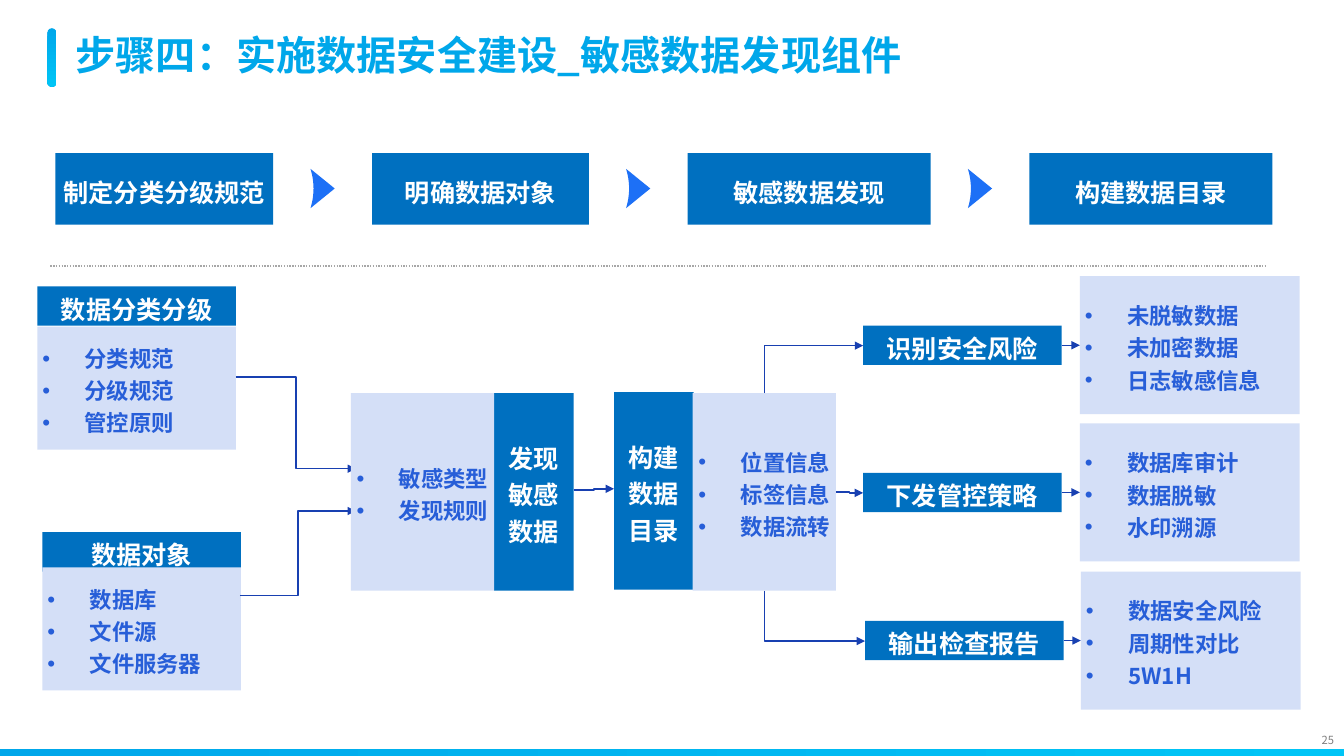
from lxml import etree
from pptx import Presentation
from pptx import util as u
from pptx.dml import color
from pptx.enum import dml, shapes, text
from pptx.oxml import ns

FONT = "Noto Sans CJK SC"
BLUE, PALE, INK, LINE, CHEVRON = "0070C0", "D4DFF7", "275ED8", "1840B1", "1D70F6"


def rgb(value):
    return color.RGBColor.from_string(value)


def add_xml(parent, tag, **attributes):
    return etree.SubElement(parent, ns.qn(tag), attributes)


def paint_gradient(fill, first, last, angle):
    fill.gradient()
    fill.gradient_angle = angle
    for stop, value, position in zip(fill.gradient_stops, (first, last), (0, 1)):
        stop.color.rgb = rgb(value)
        stop.position = position


def write(shape, lines, size=18, ink="FFFFFF", bold=True, align="CENTER",
          bullet=False, spacing=1.2, inset=0.05):
    frame = shape.text_frame
    frame.word_wrap = True
    frame.auto_size = text.MSO_AUTO_SIZE.NONE
    frame.vertical_anchor = text.MSO_ANCHOR.MIDDLE
    frame.margin_left = frame.margin_right = u.Inches(inset)
    frame.margin_top = frame.margin_bottom = u.Inches(0.05)
    for index, line in enumerate(lines):
        paragraph = frame.add_paragraph() if index else frame.paragraphs[0]
        paragraph.alignment = text.PP_ALIGN[align]
        paragraph.line_spacing = spacing
        if bullet:
            properties = paragraph._p.get_or_add_pPr()
            properties.set("marL", str(u.Inches(0.42)))
            properties.set("indent", str(u.Inches(-0.42)))
            add_xml(properties, "a:buFont", typeface="Arial")
            add_xml(properties, "a:buChar", char="•")
        run = paragraph.add_run()
        run.text = line
        run.font.name, run.font.size, run.font.bold = FONT, u.Pt(size), bold
        add_xml(run._r.get_or_add_rPr(), "a:ea", typeface=FONT)
        run.font.fill.solid()
        run.font.fill.fore_color.rgb = rgb(ink)


class FlowSlide:
    def __init__(self):
        self.presentation = Presentation()
        self.presentation.slide_width = u.Inches(13.33)
        self.presentation.slide_height = u.Inches(7.5)
        layout = self.presentation.slide_layouts.get_by_name("Title Only")
        self.slide = self.presentation.slides.add_slide(layout)

    def title(self, wording, left, top, width, height):
        title = self.slide.shapes.title
        title.left, title.top = u.Inches(left), u.Inches(top)
        title.width, title.height = u.Inches(width), u.Inches(height)
        write(title, [wording], size=28.7, align="LEFT", spacing=0.9, inset=0.1)
        font = title.text_frame.paragraphs[0].runs[0].font
        paint_gradient(font.fill, "00A7EA", "00C2F5", 270)

    def box(self, left, top, width, height, fill=BLUE, kind="RECTANGLE"):
        shape = self.slide.shapes.add_shape(
            shapes.MSO_SHAPE[kind], *map(u.Inches, (left, top, width, height)))
        self.finish(shape, fill)
        return shape

    def finish(self, shape, fill):
        shape.shadow.inherit = False
        shape.line.fill.background()
        shape.fill.solid()
        shape.fill.fore_color.rgb = rgb(fill)

    def bar(self, left, top, width, height, angle, kind="RECTANGLE"):
        shape = self.box(left, top, width, height, kind=kind)
        paint_gradient(shape.fill, "00A7EA", "00C5F6", angle)
        return shape

    def header(self, wording, left, top, width=1.97, height=0.39):
        shape = self.box(left, top, width, height)
        write(shape, [wording])
        return shape

    def panel(self, items, left, top, width, height, align="LEFT"):
        shape = self.box(left, top, width, height, PALE)
        write(shape, items, size=16, ink=INK, align=align, bullet=True)
        return shape

    def label(self, wording, left, top, width, height, **style):
        write(self.slide.shapes.add_textbox(
            *map(u.Inches, (left, top, width, height))), [wording], **style)

    def chevron(self, left, middle):
        curve = [(0.03 * (1 - (step / 6) ** 2), 0.195 * step / 6)
                 for step in range(6, -7, -1)]
        points = [(u.Inches(left + x), u.Inches(middle + y))
                  for x, y in [(0.24, 0)] + curve]
        builder = self.slide.shapes.build_freeform(*points[0])
        builder.add_line_segments(points[1:], close=True)
        self.finish(builder.convert_to_shape(), CHEVRON)

    def connector(self, start, end, kind="STRAIGHT", ink=LINE, arrow=True):
        connector = self.slide.shapes.add_connector(
            shapes.MSO_CONNECTOR[kind], *map(u.Inches, (*start, *end)))
        connector.line.color.rgb = rgb(ink)
        connector.line.width = u.Pt(1)
        properties = connector._element.spPr
        if arrow:
            add_xml(properties.find(ns.qn("a:ln")), "a:tailEnd", type="triangle")
        add_xml(properties, "a:effectLst")
        return connector

    def corner(self, start, end):
        """One-bend arrow that leaves vertically and arrives from the left."""
        (x1, y1), (x2, y2) = start, end
        middle_x, middle_y = (x1 + x2) / 2, (y1 + y2) / 2
        half_width, half_height = abs(y2 - y1) / 2, (x2 - x1) / 2
        upward = y2 < y1
        if upward:
            half_height = -half_height
        connector = self.connector(
            (middle_x + half_width, middle_y - half_height),
            (middle_x - half_width, middle_y + half_height), "ELBOW")
        properties = connector._element.spPr
        properties.find(ns.qn("a:xfrm")).set("rot", "5400000" if upward else "16200000")
        properties.find(ns.qn("a:prstGeom")).set("prst", "bentConnector2")


def main():
    flow = FlowSlide()

    # Frame: title, accent bars and page number
    flow.title("步骤四：实施数据安全建设_敏感数据发现组件", 0.65, 0.31, 9.41, 0.53)
    flow.bar(0.47, 0.28, 0.09, 0.58, 270, "ROUNDED_RECTANGLE").adjustments[0] = 0.5
    flow.bar(0, 7.43, 13.33, 0.08, 0)
    flow.label("25", 12.24, 7.23, 1.09, 0.23, size=8, ink="808080", bold=False,
               align="RIGHT", spacing=1, inset=0.1)

    # Four steps across the top
    for wording, left, width in (("制定分类分级规范", 0.55, 2.16), ("明确数据对象", 3.69, 2.15),
                                 ("敏感数据发现", 6.82, 2.41), ("构建数据目录", 10.21, 2.41)):
        flow.header(wording, left, 1.52, width, 0.71)
    for left in (3.08, 6.21, 9.6):
        flow.chevron(left, 1.87)
    divider = flow.connector((0.5, 2.64), (12.56, 2.64), ink="A7A7A7", arrow=False)
    divider.line.dash_style = dml.MSO_LINE.ROUND_DOT

    # Inputs on the left
    for wording, items, left, top, panel_top in (
            ("数据分类分级", ["分类规范", "分级规范", "管控原则"], 0.37, 2.84, 3.24),
            ("数据对象", ["数据库", "文件源", "文件服务器"], 0.42, 5.28, 5.63)):
        flow.header(wording, left, top)
        flow.panel(items, left, panel_top, 1.97, 1.22)

    # Discovery and catalogue in the middle
    flow.header("发现敏感数据", 4.9, 3.9, 0.79, 1.96)
    flow.header("构建数据目录", 6.09, 3.89, 0.79, 1.96)
    flow.panel(["位置信息", "标签信息", "数据流转"], 6.87, 3.9, 1.42, 1.96, "CENTER")

    # Outputs on the right
    for wording, items, left, top, panel_left, panel_top in (
            ("识别安全风险", ["未脱敏数据", "未加密数据", "日志敏感信息"], 8.56, 3.23, 10.71, 2.74),
            ("下发管控策略", ["数据库审计", "数据脱敏", "水印溯源"], 8.56, 4.69, 10.71, 4.2),
            ("输出检查报告", ["数据安全风险", "周期性对比", "5W1H"], 8.58, 6.16, 10.72, 5.67)):
        output = flow.header(wording, left, top)
        details = flow.panel(items, panel_left, panel_top, 2.18, 1.37)
        arrow = flow.connector((left + 1.97, top + 0.2), (panel_left, top + 0.2))
        arrow.begin_connect(output, 3)
        arrow.end_connect(details, 1)

    # Bent arrows between the stages
    for start, end in (((2.34, 3.74), (3.53, 4.65)), ((2.38, 5.91), (3.53, 5.07)),
                       ((5.69, 4.86), (6.09, 4.85)), ((8.29, 4.88), (8.56, 4.89))):
        flow.connector(start, end, "ELBOW")
    flow.corner((7.58, 3.9), (8.56, 3.43))
    flow.corner((7.58, 5.86), (8.58, 6.36))

    # Discovery rules lie over the arrow tips
    flow.panel(["敏感类型", "发现规则"], 3.48, 3.9, 1.42, 1.96, "CENTER")

    flow.presentation.save("out.pptx")


if __name__ == "__main__":
    main()
